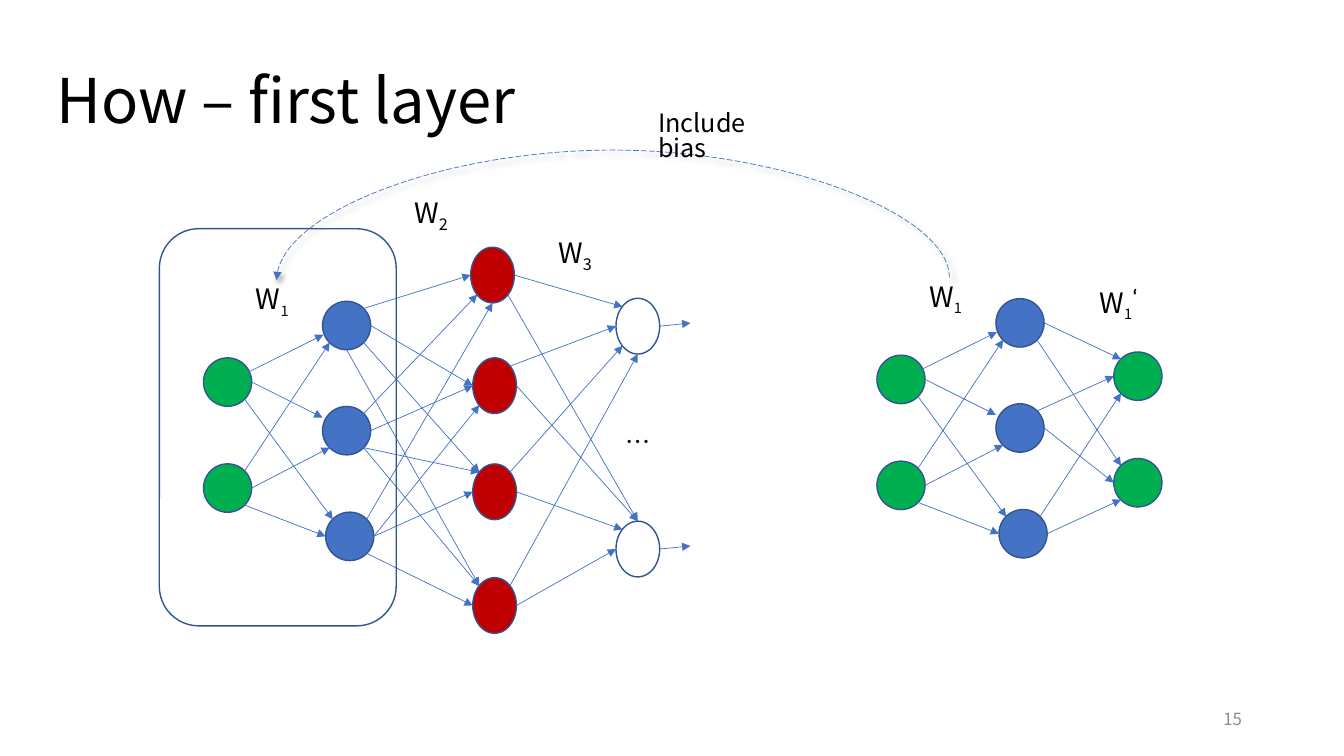
"""Build the slide showing how the first layer of a network is pretrained."""
from dataclasses import dataclass

from lxml import etree
from pptx import Presentation
from pptx.dml.color import RGBColor
from pptx.enum.dml import MSO_LINE
from pptx.enum.shapes import MSO_CONNECTOR, MSO_SHAPE
from pptx.enum.text import MSO_ANCHOR, PP_ALIGN
from pptx.oxml.ns import qn
from pptx.util import Pt

STRAIGHT, CURVE = MSO_CONNECTOR.STRAIGHT, MSO_CONNECTOR.CURVE
OVAL, ROUNDED = MSO_SHAPE.OVAL, MSO_SHAPE.ROUNDED_RECTANGLE
LEFT, CENTER, RIGHT = PP_ALIGN.LEFT, PP_ALIGN.CENTER, PP_ALIGN.RIGHT
TOP, MIDDLE = MSO_ANCHOR.TOP, MSO_ANCHOR.MIDDLE
LONG_DASH = MSO_LINE.LONG_DASH

SITES = {
    "top": (0.5, 0), "bottom": (0.5, 1), "left": (0, 0.5), "right": (1, 0.5),
    "top left": (0.15, 0.15), "top right": (0.85, 0.15),
    "bottom left": (0.15, 0.85), "bottom right": (0.85, 0.85),
    "upper left": (0, 0.23), "lower left": (0.02, 0.69), "upper right": (0.86, 0.33),
}
ROUND, TALL = (34.4, 34.6), (31.2, 39.8)
INPUT_EDGES = [
    (0, "upper right", 0, "lower left"), (0, "right", 1, "upper left"),
    (0, "bottom right", 2, "top left"), (1, "top right", 0, "bottom left"),
    (1, "right", 1, "bottom left"), (1, "bottom right", 2, "left"),
]
HIDDEN_EDGES = [
    (0, "top right", 0, "left"), (0, "right", 1, "left"),
    (0, "bottom right", 2, "top left"), (0, "bottom", 3, "top left"),
    (1, "top right", 0, "bottom left"), (1, "right", 1, "left"),
    (1, "bottom right", 2, "top left"), (1, "bottom right", 3, "top left"),
    (2, "top right", 0, "bottom"), (2, "right", 1, "bottom left"),
    (2, "right", 2, "left"), (2, "bottom right", 3, "left"),
]
OUTPUT_EDGES = [
    (0, "right", 0, "top left"), (1, "top right", 0, "left"),
    (2, "top right", 0, "bottom left"), (3, "top right", 0, "bottom"),
    (0, "bottom right", 1, "top"), (1, "right", 1, "top"),
    (2, "right", 1, "top left"), (3, "right", 1, "left"),
]
DECODER_EDGES = [
    (0, "right", 0, "top left"), (1, "top right", 0, "left"),
    (2, "top right", 0, "bottom left"), (0, "bottom right", 1, "top left"),
    (1, "right", 1, "left"), (2, "right", 1, "bottom left"),
]


@dataclass(frozen=True)
class Theme:
    font: str = "Noto Sans CJK SC"
    prime_font: str = "Calibri"
    black: str = "000000"
    gray: str = "8C8C8C"
    white: str = "FFFFFF"
    green: str = "00B050"
    blue: str = "4472C4"
    red: str = "C00000"
    outline: str = "325491"
    title_size: int = 44
    label_size: int = 20
    text_size: int = 18
    prime_size: int = 24
    number_size: int = 12


class NetworkSlide:
    def __init__(self, slide, theme):
        self.slide = slide
        self.theme = theme

    def run(self, paragraph, text, size, color=None, baseline=0, font=None, bold=False):
        run = paragraph.add_run()
        run.text = text
        run.font.name = font or self.theme.font
        run.font.size = Pt(size)
        run.font.bold = bold
        run.font.color.rgb = RGBColor.from_string(color or self.theme.black)
        if baseline:
            run._r.get_or_add_rPr().set("baseline", str(baseline * 1000))

    def title(self, text, left, top, width, height):
        shape = self.slide.shapes.title
        shape.left, shape.top, shape.width, shape.height = map(Pt, (left, top, width, height))
        shape.text_frame.vertical_anchor = MIDDLE
        paragraph = shape.text_frame.paragraphs[0]
        paragraph.alignment = LEFT
        paragraph.line_spacing = 0.87
        self.run(paragraph, text, self.theme.title_size)

    def text(self, left, top, width, height, align=LEFT, anchor=TOP):
        shape = self.slide.shapes.add_textbox(*map(Pt, (left, top, width, height)))
        frame = shape.text_frame
        frame.word_wrap = True
        frame.vertical_anchor = anchor
        paragraph = frame.paragraphs[0]
        paragraph.alignment = align
        paragraph.line_spacing = 0.83
        return paragraph

    def weight(self, index, left, top, index_size):
        paragraph = self.text(left, top, 48, 31.5)
        self.run(paragraph, "W", self.theme.label_size)
        self.run(paragraph, index, index_size, baseline=-25)
        return paragraph

    def shape(self, kind, left, top, size, fill=None, outlined=True):
        shape = self.slide.shapes.add_shape(kind, *map(Pt, (left, top, *size)))
        shape.shadow.inherit = False
        if fill:
            shape.fill.solid()
            shape.fill.fore_color.rgb = RGBColor.from_string(fill)
        else:
            shape.fill.background()
        if outlined:
            shape.line.color.rgb = RGBColor.from_string(self.theme.outline)
            shape.line.width = Pt(1)
        else:
            shape.line.fill.background()
        return shape

    def layer(self, places, size, fill):
        return [self.shape(OVAL, left, top, size, fill) for left, top in places]

    def arrow(self, begin, end, kind=STRAIGHT):
        connector = self.slide.shapes.add_connector(kind, *map(Pt, (*begin, *end)))
        connector.line.color.rgb = RGBColor.from_string(self.theme.blue)
        connector.line.width = Pt(0.5)
        properties = connector._element.spPr
        etree.SubElement(properties.find(qn("a:ln")), qn("a:tailEnd"), type="triangle")
        etree.SubElement(properties, qn("a:effectLst"))
        return connector

    def site(self, node, name):
        across, down = SITES[name]
        return (node.left + across * node.width) / Pt(1), (node.top + down * node.height) / Pt(1)

    def connect(self, sources, targets, edges):
        for source, leaving, target, entering in edges:
            self.arrow(self.site(sources[source], leaving), self.site(targets[target], entering))

    def encoder(self, x, y):
        inputs = self.layer([(x, y + 40.4), (x, y + 116.1)], ROUND, self.theme.green)
        places = [(x + 85, y), (x + 85, y + 75.1), (x + 87.2, y + 150.6)]
        hidden = self.layer(places, ROUND, self.theme.blue)
        self.connect(inputs, hidden, INPUT_EDGES)
        self.weight("1", x + 30.3, y - 15.1, self.theme.text_size)
        return hidden

    def arc(self, begin, end, rise):
        middle_x, middle_y = (begin[0] + end[0]) / 2, (begin[1] + end[1]) / 2
        half_width, half_height = (end[1] - begin[1]) / 2, (begin[0] - end[0]) / 2
        connector = self.arrow((middle_x + half_width, middle_y + half_height),
                               (middle_x - half_width, middle_y - half_height), CURVE)
        connector.line.dash_style = LONG_DASH
        properties = connector._element.spPr
        properties.find(qn("a:xfrm")).set("rot", str(270 * 60000))
        guides = properties.find(qn("a:prstGeom")).get_or_add_avLst()
        bend = round(-rise / (2 * half_width) * 100000)
        etree.SubElement(guides, qn("a:gd"), name="adj1", fmla=f"val {bend}")
        shadow = etree.SubElement(properties.find(qn("a:effectLst")), qn("a:outerShdw"),
                                  blurRad=str(Pt(4)), dist=str(Pt(3)), dir=str(45 * 60000))
        color = etree.SubElement(shadow, qn("a:srgbClr"), val=self.theme.black)
        etree.SubElement(color, qn("a:alpha"), val="40000")


def main():
    presentation = Presentation()
    presentation.slide_width, presentation.slide_height = Pt(960), Pt(540)
    slide = presentation.slides.add_slide(presentation.slide_layouts[5])
    theme = Theme()
    network = NetworkSlide(slide, theme)
    network.title("How – first layer", 33, 22.3, 828, 104.4)

    hidden = network.encoder(145.4, 215.2)
    places = [(336.2, 176.6), (337.7, 255.6), (337.7, 331.4), (337.7, 412.6)]
    second = network.layer(places, TALL, theme.red)
    outputs = network.layer([(440, 213.1), (440, 372.3)], TALL, theme.white)
    network.connect(hidden, second, HIDDEN_EDGES)
    network.connect(second, outputs, OUTPUT_EDGES)
    for node in outputs:
        x, y = network.site(node, "right")
        network.arrow((x, y), (x + 22, y - 2.2))
    more = network.shape(OVAL, 440, 295.2, TALL, theme.white, outlined=False)
    more.text_frame.word_wrap = False
    more.text_frame.vertical_anchor = MIDDLE
    more.text_frame.paragraphs[0].alignment = CENTER
    network.run(more.text_frame.paragraphs[0], "…", theme.text_size)
    network.weight("2", 288.7, 138.2, theme.label_size)
    network.weight("3", 391.7, 166.3, theme.label_size)

    hidden = network.encoder(626.4, 213.3)
    decoded = network.layer([(795.6, 251.4), (795.6, 327.5)], ROUND, theme.green)
    network.connect(hidden, decoded, DECODER_EDGES)
    label = network.weight("1", 778.3, 200.2, theme.text_size)
    network.run(label, "‘", theme.prime_size, baseline=30, font=theme.prime_font, bold=True)

    network.shape(ROUNDED, 113.8, 163.4, (169.2, 283.7))
    network.arc((678.2, 198.2), (197.6, 200.05), 91.4)
    network.run(network.text(463, 77, 108, 28.8), "Include bias", theme.text_size)
    number = network.text(678.2, 500.4, 216, 28.8, RIGHT, MIDDLE)
    network.run(number, "15", theme.number_size, theme.gray)
    presentation.save("out.pptx")


if __name__ == "__main__":
    main()
